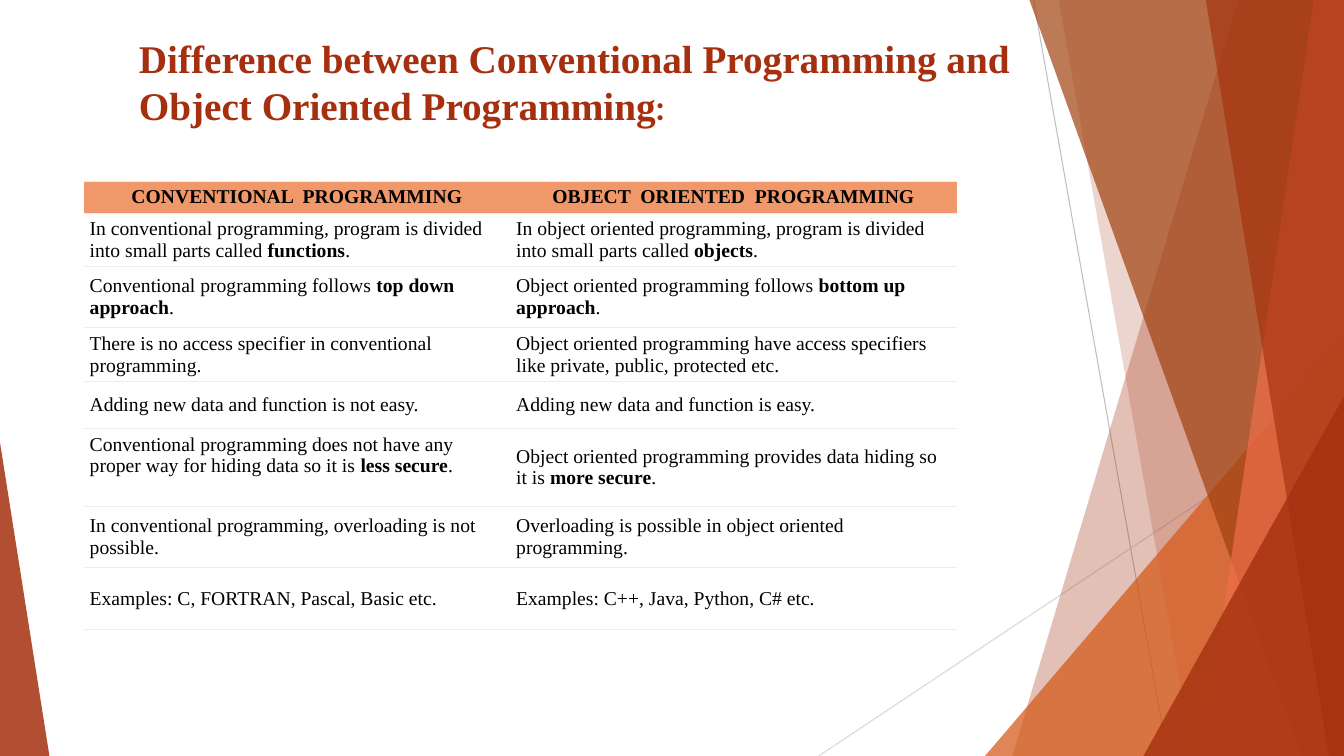
from pptx import Presentation
from pptx.dml.color import RGBColor
from pptx.enum.shapes import MSO_CONNECTOR, MSO_SHAPE
from pptx.enum.text import MSO_ANCHOR, PP_ALIGN
from pptx.oxml.ns import qn
from pptx.util import Inches, Pt
from lxml import etree

LINE = MSO_CONNECTOR.STRAIGHT
TRIANGLE = MSO_SHAPE.ISOSCELES_TRIANGLE
TOP, MIDDLE = MSO_ANCHOR.TOP, MSO_ANCHOR.MIDDLE
LEFT, CENTER = PP_ALIGN.LEFT, PP_ALIGN.CENTER

WIDE, HIGH = 13.33, 7.5
COLORS = {
    "rust": "A5300F", "brown": "A04210", "orange": "D55816", "coral": "EE6E4A",
    "peach": "F09869", "gray": "BFBFBF", "pale": "D9D9D9", "rule": "EDEDED",
    "white": "FFFFFF", "black": "000000",
}
HEADS = ["CONVENTIONAL  PROGRAMMING", "OBJECT  ORIENTED  PROGRAMMING"]
ROWS = [
    ("In conventional programming, program is divided into small parts called *functions*.",
     "In object oriented programming, program is divided into small parts called *objects*."),
    ("Conventional programming follows *top down approach*.",
     "Object oriented programming follows *bottom up approach*."),
    ("There is no access specifier in conventional programming.",
     "Object oriented programming have access specifiers like private, public, protected etc."),
    ("Adding new data and function is not easy.",
     "Adding new data and function is easy."),
    ("Conventional programming does not have any proper way for hiding data so it is *less secure*.",
     "Object oriented programming provides data hiding so it is *more secure*."),
    ("In conventional programming, overloading is not possible.",
     "Overloading is possible in object oriented programming."),
    ("Examples: C, FORTRAN, Pascal, Basic etc.",
     "Examples: C++, Java, Python, C# etc."),
]
WIDTHS = [4.23, 4.43]
HEIGHTS = [0.31, 0.53, 0.61, 0.53, 0.47, 0.77, 0.61, 0.61]


class Deck:
    def __init__(self, slide, colors, font):
        self.slide, self.colors, self.font = slide, colors, font

    def color(self, name):
        return RGBColor.from_string(self.colors[name])

    def paint(self, shape, name, alpha):
        shape.shadow.inherit = False
        shape.fill.solid()
        shape.fill.fore_color.rgb = self.color(name)
        shape.line.fill.background()
        tint = next(shape.element.spPr.iter(qn("a:srgbClr")))
        etree.SubElement(tint, qn("a:alpha"), val=str(alpha * 1000))

    def line(self, start, end, name):
        link = self.slide.shapes.add_connector(LINE, *map(Inches, start + end))
        link.line.color.rgb = self.color(name)
        link.line.width = Pt(0.75)
        etree.SubElement(link.element.spPr, qn("a:effectLst"))

    def facet(self, top, base, name, alpha):
        points = [(top, 0), (WIDE, 0), (WIDE, HIGH), (base, HIGH)]
        points = [(Inches(x), Inches(y)) for x, y in points]
        pen = self.slide.shapes.build_freeform(*points[0])
        pen.add_line_segments(points[1:])
        self.paint(pen.convert_to_shape(), name, alpha)

    def wedge(self, left, top, width, peak, name, alpha):
        box = map(Inches, (left, top, width, HIGH - top))
        shape = self.slide.shapes.add_shape(TRIANGLE, *box)
        shape.adjustments[0] = peak
        self.paint(shape, name, alpha)

    def run(self, par, text, size, name, bold, font=None):
        run = par.add_run()
        run.text = text
        run.font.name = font or self.font
        run.font.size = Pt(size)
        run.font.bold = bold
        run.font.color.rgb = self.color(name)

    def title(self, box, text, mark):
        frame = self.slide.shapes.add_textbox(*map(Inches, box)).text_frame
        frame.word_wrap = True
        frame.vertical_anchor = TOP
        frame.margin_top = Inches(0.08)
        par = frame.paragraphs[0]
        self.run(par, text, 28, "rust", True)
        self.run(par, mark, 24, "rust", True, "Lato")

    def border(self, cell):
        props = cell._tc.get_or_add_tcPr()
        for side in ("lnL", "lnR", "lnT", "lnB"):
            edge = etree.SubElement(props, qn("a:" + side), w=str(Pt(0.75)))
            if side in ("lnL", "lnR"):
                etree.SubElement(edge, qn("a:noFill"))
            else:
                fill = etree.SubElement(edge, qn("a:solidFill"))
                etree.SubElement(fill, qn("a:srgbClr"), val=self.colors["rule"])

    def cell(self, cell, text, head):
        self.border(cell)
        cell.fill.solid()
        cell.fill.fore_color.rgb = self.color("peach" if head else "white")
        cell.vertical_anchor = MIDDLE
        cell.margin_left = cell.margin_right = Inches(0.04 if head else 0.06)
        cell.margin_top = cell.margin_bottom = Inches(0.04 if head else 0.03)
        par = cell.text_frame.paragraphs[0]
        par.alignment = CENTER if head else LEFT
        for i, part in enumerate(text.split("*")):
            self.run(par, part, 14, "black", head or i % 2 == 1)

    def table(self, left, top, widths, heights, rows):
        box = map(Inches, (left, top, sum(widths), sum(heights)))
        table = self.slide.shapes.add_table(len(rows), len(widths), *box).table
        table.horz_banding = False
        for col, width in zip(table.columns, widths):
            col.width = Inches(width)
        for r, (row, height) in enumerate(zip(rows, heights)):
            table.rows[r].height = Inches(height)
            for c, text in enumerate(row):
                self.cell(table.cell(r, c), text, r == 0)
        return table


def main():
    show = Presentation()
    show.slide_width, show.slide_height = Inches(WIDE), Inches(HIGH)
    deck = Deck(show.slides.add_slide(show.slide_layouts[6]), COLORS, "Times New Roman")

    deck.line((10.25, 0), (11.58, HIGH), "gray")
    deck.line((WIDE, 4.03), (8.12, HIGH), "pale")
    deck.facet(12.28, 10.04, "rust", 30)
    deck.facet(10.5, 11.83, "rust", 20)
    deck.wedge(9.77, 3.33, 3.56, 1, "orange", 72)
    deck.facet(10.21, 12.91, "brown", 70)
    deck.facet(13.03, 11.92, "coral", 70)
    deck.facet(11.96, 13.18, "rust", 65)
    deck.wedge(11.34, 3.93, 1.99, 1, "rust", 80)
    deck.wedge(0, 4.39, 0.49, 0, "rust", 85)

    deck.title((1.28, 0.26, 9.09, 1.4),
               "Difference between Conventional Programming and Object Oriented Programming", ":")
    table = deck.table(0.83, 1.8, WIDTHS, HEIGHTS, [HEADS] + ROWS)
    hiding = table.cell(5, 0)
    hiding.vertical_anchor = TOP
    hiding.margin_top = Inches(0.05)

    show.save("out.pptx")


if __name__ == "__main__":
    main()
